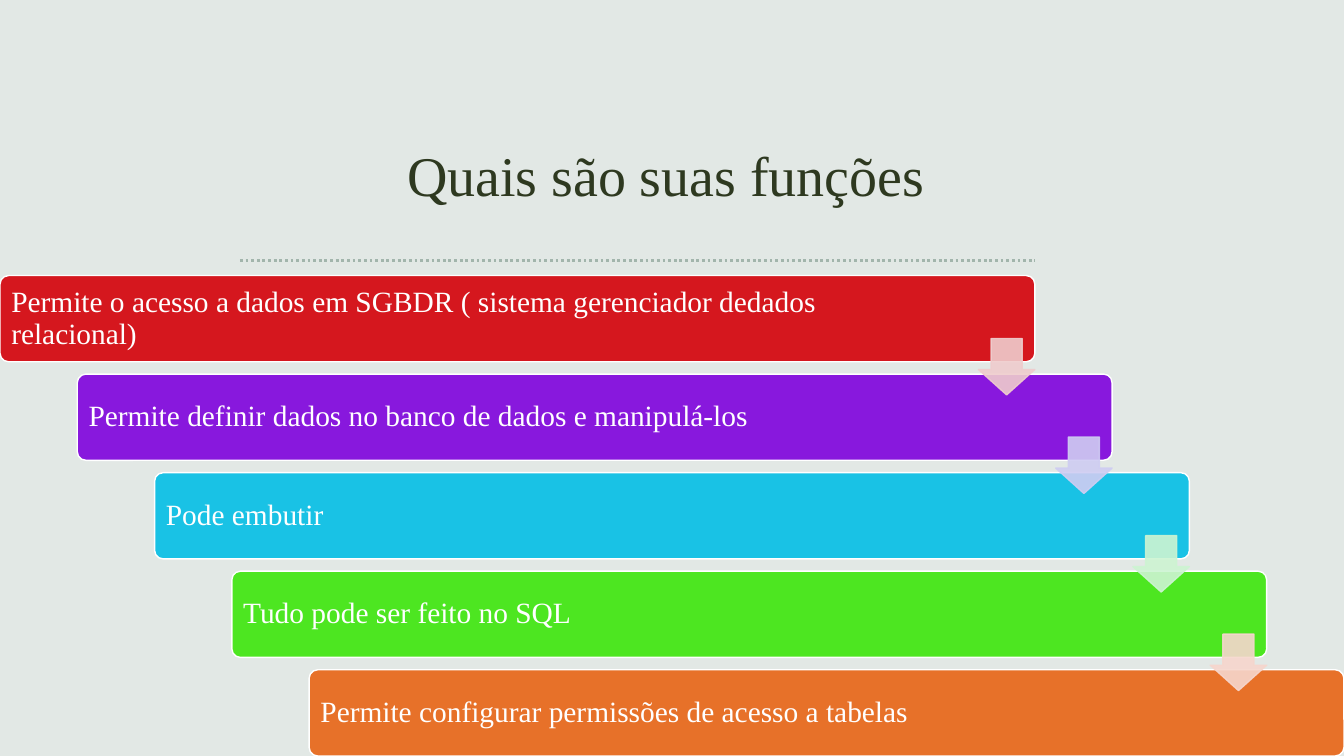
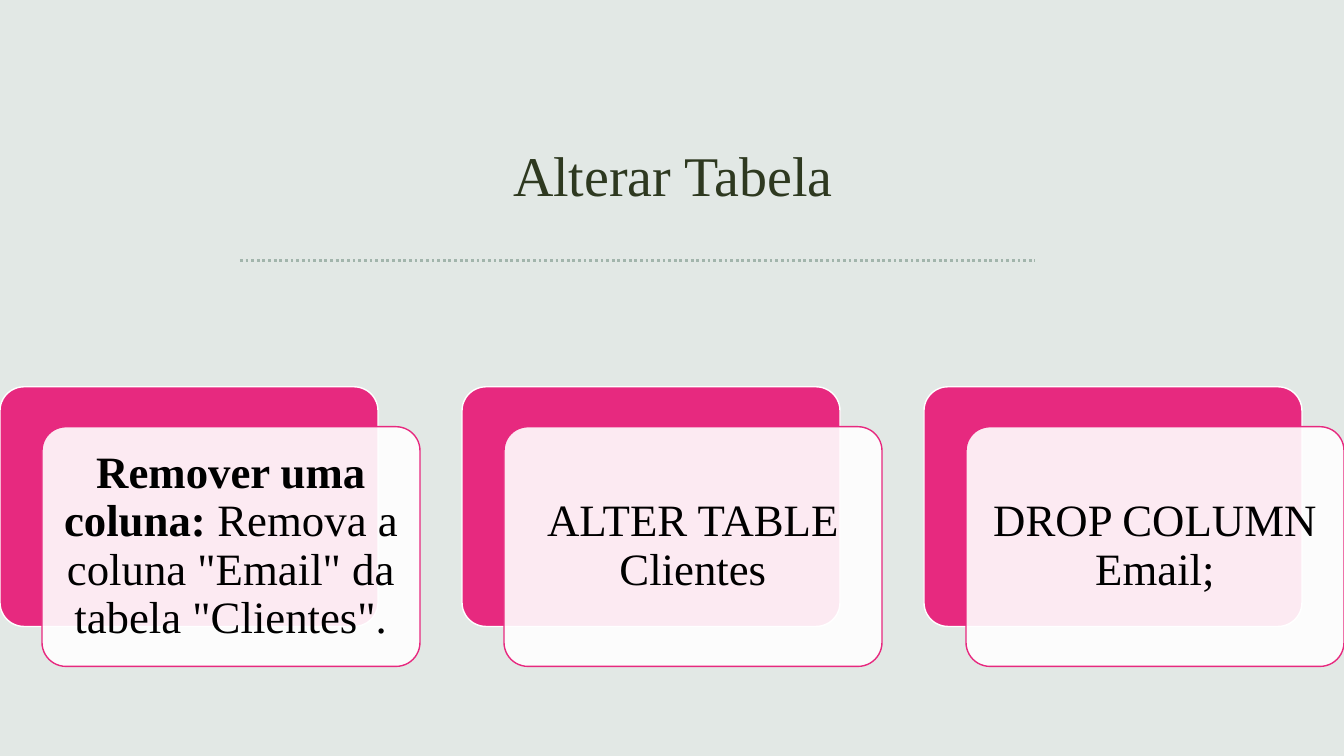
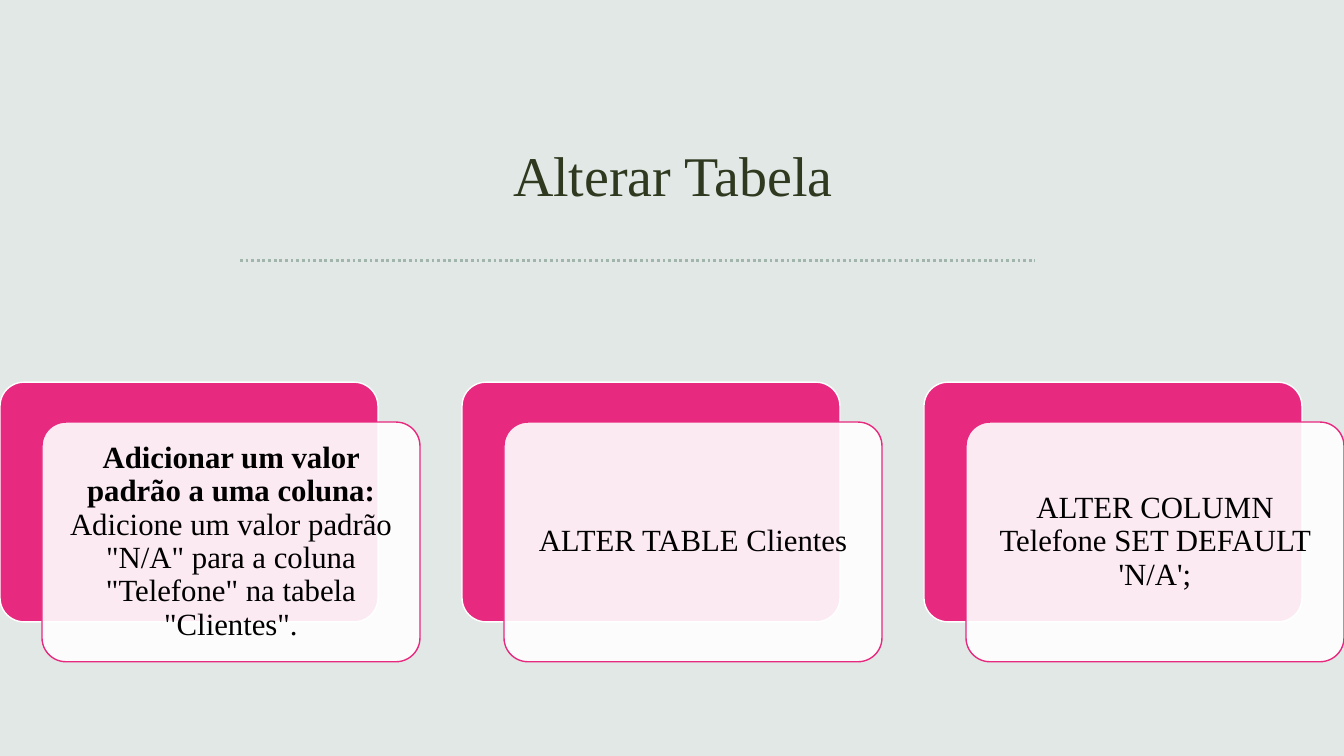
"""Build three slides on SQL functions and table changes."""
from lxml.etree import SubElement
from pptx import Presentation
from pptx.dml.color import RGBColor
from pptx.enum.dml import MSO_LINE
from pptx.enum.shapes import MSO_CONNECTOR, MSO_SHAPE
from pptx.enum.text import MSO_ANCHOR, PP_ALIGN
from pptx.oxml.ns import qn
from pptx.util import Pt

BACKGROUND = RGBColor(0xE2, 0xE8, 0xE5)
SAGE = RGBColor(0xA2, 0xB5, 0xAC)
DARK_GREEN = RGBColor(0x2E, 0x39, 0x20)
WHITE = RGBColor(0xFF, 0xFF, 0xFF)
BLACK = RGBColor(0x00, 0x00, 0x00)
PINK = RGBColor(0xE7, 0x29, 0x7F)
RED = RGBColor(0xD5, 0x17, 0x1E)
PURPLE = RGBColor(0x88, 0x18, 0xDD)
CYAN = RGBColor(0x19, 0xC2, 0xE5)
GREEN = RGBColor(0x4D, 0xE6, 0x21)
ORANGE = RGBColor(0xE7, 0x71, 0x29)
PALE_RED = RGBColor(0xEF, 0xCC, 0xCD)
PALE_PURPLE = RGBColor(0xCF, 0xCD, 0xF2)
PALE_GREEN = RGBColor(0xCD, 0xF4, 0xD2)
PALE_ORANGE = RGBColor(0xF6, 0xD6, 0xCD)
FONT = "Times New Roman"


def add_box(s, kind, x, y, w, h, fill, line, adjustments=(0.1,), opacity=100):
    sp = s.shapes.add_shape(kind, Pt(x), Pt(y), Pt(w), Pt(h))
    for i, value in enumerate(adjustments):
        sp.adjustments[i] = value
    sp.shadow.inherit = False
    sp.fill.solid()
    sp.fill.fore_color.rgb = fill
    sp.line.color.rgb = line
    sp.line.width = Pt(1)
    if opacity < 100:
        for clr in sp._element.spPr.iter(qn("a:srgbClr")):
            if clr.get("val") == str(fill):
                SubElement(clr, qn("a:alpha"), val=str(opacity * 1000))
    return sp


def add_text(sp, runs, size, color, align):
    tf = sp.text_frame
    tf.word_wrap = True
    tf.vertical_anchor = MSO_ANCHOR.MIDDLE
    tf.margin_left = tf.margin_right = Pt(size * 0.3)
    tf.margin_top = tf.margin_bottom = Pt(size * 0.3)
    p = tf.paragraphs[0]
    p.alignment = align
    p.line_spacing = 0.9
    p.font.name = FONT
    p.font.size = Pt(size)
    p.font.color.rgb = color
    for text, bold in runs:
        r = p.add_run()
        r.text = text
        if bold:
            r.font.bold = True


prs = Presentation()
prs.slide_width = Pt(960)
prs.slide_height = Pt(540)
prs.slide_master.background.fill.solid()
prs.slide_master.background.fill.fore_color.rgb = BACKGROUND
layout = prs.slide_layouts[5]

for title in ("Quais são suas funções ", "Alterar Tabela", "Alterar Tabela"):
    s = prs.slides.add_slide(layout)
    sp = s.shapes.title
    sp.left, sp.top, sp.width, sp.height = Pt(75.6), Pt(74), Pt(810), Pt(101)
    tf = sp.text_frame
    tf.text = title
    tf.vertical_anchor = MSO_ANCHOR.MIDDLE
    p = tf.paragraphs[0]
    p.alignment = PP_ALIGN.CENTER
    p.font.name = FONT
    p.font.size = Pt(40)
    p.font.color.rgb = DARK_GREEN
    rule = s.shapes.add_connector(MSO_CONNECTOR.STRAIGHT, Pt(171.4), Pt(185.8), Pt(739.4), Pt(185.8))
    rule.line.color.rgb = SAGE
    rule.line.width = Pt(2)
    rule.line.dash_style = MSO_LINE.ROUND_DOT
    SubElement(rule._element.spPr, qn("a:effectLst"))

functions_slide, remove_slide, default_slide = prs.slides

BAR_W, BAR_H, BAR_TOP = 739.2, 61.6, 196.8
STEP_X, STEP_Y = 55.2, 70.4
ARROW = 40.3
bars = [
    ("Permite o acesso a dados em SGBDR ( sistema gerenciador dedados relacional)", RED),
    ("Permite definir dados no banco de dados e manipulá-los", PURPLE),
    ("Pode embutir", CYAN),
    ("Tudo pode ser feito no SQL", GREEN),
    ("Permite configurar permissões de acesso a tabelas", ORANGE),
]
for i, (text, color) in enumerate(bars):
    sp = add_box(functions_slide, MSO_SHAPE.ROUNDED_RECTANGLE, i * STEP_X, BAR_TOP + i * STEP_Y,
                 BAR_W, BAR_H, color, WHITE)
    add_text(sp, [(text, False)], 21, WHITE, PP_ALIGN.LEFT)
    sp.text_frame.margin_right = Pt(76)
for i, color in enumerate((PALE_RED, PALE_PURPLE, PALE_GREEN, PALE_ORANGE)):
    add_box(functions_slide, MSO_SHAPE.DOWN_ARROW, i * STEP_X + BAR_W - ARROW, BAR_TOP + 45 + i * STEP_Y,
            ARROW, ARROW, color, color, (0.55, 0.45), 90)

CARD_W, CARD_H, CARD_STEP = 270, 171.2, 330
OFFSET_X, OFFSET_Y = 30, 28.5
card_rows = [
    (remove_slide, 276.3, 32, [
        [("Remover uma coluna:", True), (' Remova a coluna "Email" da tabela "Clientes".', False)],
        [("ALTER TABLE Clientes", False)],
        [("DROP COLUMN Email;", False)],
    ]),
    (default_slide, 273, 22, [
        [("Adicionar um valor padrão a uma coluna:", True),
         (' Adicione um valor padrão "N/A" para a coluna "Telefone" na tabela "Clientes".', False)],
        [("ALTER TABLE Clientes", False)],
        [("ALTER COLUMN Telefone SET DEFAULT 'N/A';", False)],
    ]),
]
for s, top, size, cards in card_rows:
    for i, runs in enumerate(cards):
        x = i * CARD_STEP
        add_box(s, MSO_SHAPE.ROUNDED_RECTANGLE, x, top, CARD_W, CARD_H, PINK, WHITE)
        sp = add_box(s, MSO_SHAPE.ROUNDED_RECTANGLE, x + OFFSET_X, top + OFFSET_Y,
                     CARD_W, CARD_H, WHITE, PINK, opacity=90)
        add_text(sp, runs, size, BLACK, PP_ALIGN.CENTER)

prs.save("out.pptx")
